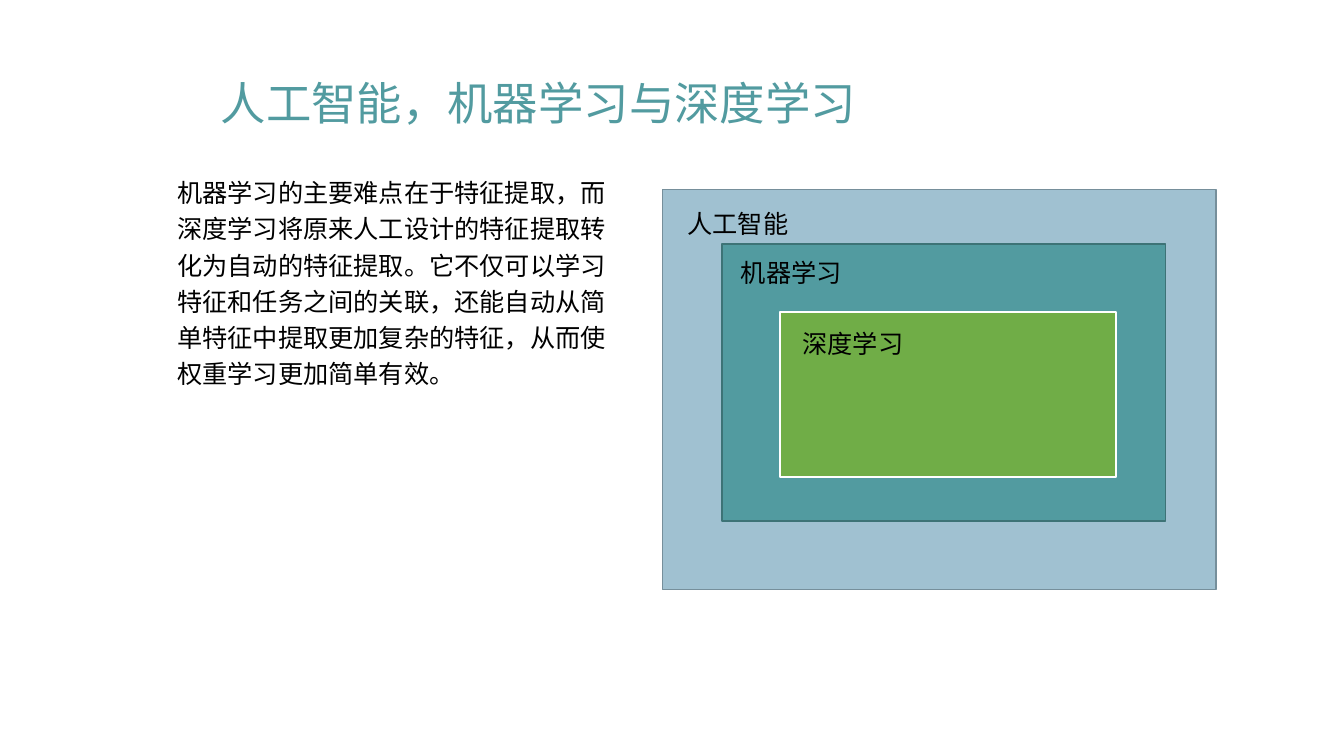
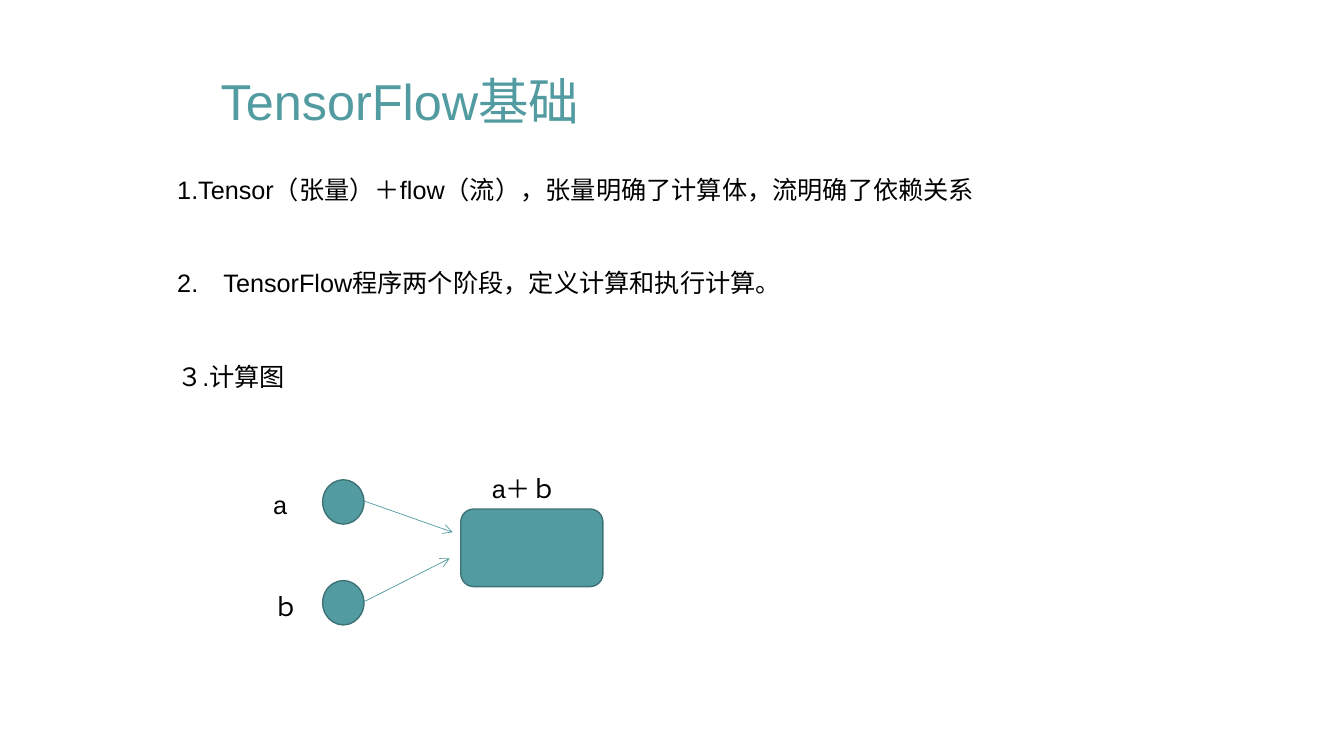
from pptx import Presentation
from pptx.dml.color import RGBColor
from pptx.enum.shapes import MSO_CONNECTOR as LINK, MSO_SHAPE as KIND
from pptx.enum.text import MSO_ANCHOR as ANCHOR
from pptx.util import Pt
from lxml.etree import SubElement
from pptx.oxml.ns import qn

PX = 9144
FONT = "Arial"
TEAL = RGBColor(0x52, 0x9B, 0xA0)
DARK = RGBColor(0x3D, 0x73, 0x76)
BLUE = RGBColor(0xA0, 0xC1, 0xD1)
SLATE = RGBColor(0x76, 0x8F, 0x9B)
GREEN = RGBColor(0x70, 0xAD, 0x47)
WHITE = RGBColor(0xFF, 0xFF, 0xFF)
BLACK = RGBColor(0, 0, 0)

TITLE = (209, 47, 661, 87)

FIELDS = {
    "title": "人工智能，机器学习与深度学习",
    "size": 32.4,
    "body": ["机器学习的主要难点在于特征提取，而深度学习将原来人工设计的特征提取转化为自动的特征提取。"
             "它不仅可以学习特征和任务之间的关联，还能自动从简单特征中提取更加复杂的特征，"
             "从而使权重学习更加简单有效。"],
    "box": (166, 165, 461, 234),
    "lead": 1.2,
    "shapes": [
        (KIND.RECTANGLE, (657, 188, 549, 397), BLUE, SLATE, 1),
        (KIND.RECTANGLE, (716, 242, 440, 275), TEAL, DARK, 1),
        (KIND.RECTANGLE, (774, 310, 333, 163), GREEN, WHITE, 1.5),
    ],
    "arrows": [],
    "labels": [
        ("人工智能", (672, 202, 129, 40)),
        ("机器学习", (725, 250, 129, 40)),
        ("深度学习", (786, 321, 129, 40)),
    ],
}

BASICS = {
    "title": "TensorFlow基础",
    "size": 36,
    "body": ["1.Tensor（张量）＋flow（流），张量明确了计算体，流明确了依赖关系",
             "2.　TensorFlow程序两个阶段，定义计算和执行计算。",
             "３.计算图"],
    "box": (166, 165, 977, 441),
    "lead": 1.1,
    "shapes": [
        (KIND.OVAL, (320, 476, 41, 44), TEAL, DARK, 1),
        (KIND.OVAL, (320, 576, 41, 44), TEAL, DARK, 1),
        (KIND.FLOWCHART_ALTERNATE_PROCESS, (457, 505, 141, 77), TEAL, DARK, 1),
    ],
    "arrows": [(361, 497, 449, 528), (361, 597, 446, 554)],
    "labels": [
        ("a", (261, 481, 52, 40)),
        ("ｂ", (261, 582, 52, 40)),
        ("a＋ｂ", (478, 465, 165, 40)),
    ],
}


def scale(box):
    return [n * PX for n in box]


def add_text(slide, lines, box, size=18, color=BLACK, lead=None, first=0, gap=0):
    frame = slide.shapes.add_textbox(*scale(box)).text_frame
    frame.word_wrap = True
    frame.text = "\n".join(lines)
    for i, para in enumerate(frame.paragraphs):
        para.line_spacing = lead
        para.space_before = Pt(gap if i else first)
        for run in para.runs:
            run.font.name = FONT
            run.font.size = Pt(size)
            run.font.color.rgb = color
    return frame


def add_block(slide, kind, box, fill, edge, width):
    shape = slide.shapes.add_shape(kind, *scale(box))
    shape.shadow.inherit = False
    shape.fill.solid()
    shape.fill.fore_color.rgb = fill
    shape.line.color.rgb = edge
    shape.line.width = Pt(width)


def add_arrow(slide, ends):
    link = slide.shapes.add_connector(LINK.STRAIGHT, *scale(ends))
    link.line.color.rgb = TEAL
    link.line.width = Pt(0.5)
    props = link._element.spPr
    SubElement(props.find(qn("a:ln")), qn("a:tailEnd"), type="arrow")
    SubElement(props, qn("a:effectLst"))


def add_page(deck, page):
    slide = deck.slides.add_slide(deck.slide_layouts[6])
    title = add_text(slide, [page["title"]], TITLE, page["size"], TEAL, 1.2)
    title.vertical_anchor = ANCHOR.BOTTOM
    add_text(slide, page["body"], page["box"], lead=page["lead"], first=10, gap=43)
    for block in page["shapes"]:
        add_block(slide, *block)
    for ends in page["arrows"]:
        add_arrow(slide, ends)
    for text, box in page["labels"]:
        add_text(slide, [text], box)


def main():
    deck = Presentation()
    deck.slide_width, deck.slide_height = scale((1333, 750))
    for page in (FIELDS, BASICS):
        add_page(deck, page)
    deck.save("out.pptx")


if __name__ == "__main__":
    main()
